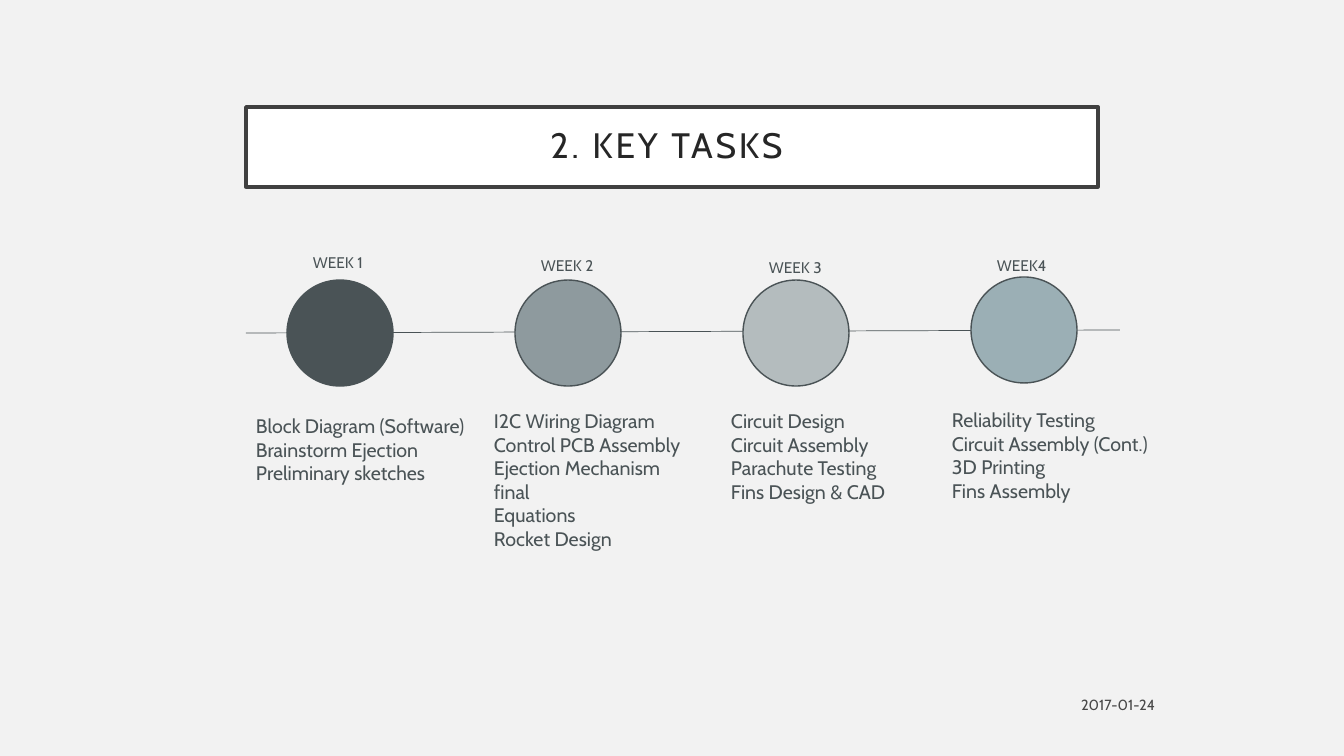
import pptx
import pptx.util
import pptx.dml.color
import pptx.enum.shapes
import pptx.enum.text
import pptx.oxml.ns
import lxml.etree

RGB = pptx.dml.color.RGBColor
SLATE = RGB(0x4A, 0x53, 0x56)
STEEL = RGB(0x8E, 0x9A, 0x9E)
SILVER = RGB(0xB4, 0xBC, 0xBE)
TEAL = RGB(0x9B, 0xAF, 0xB5)
PAPER = RGB(0xF2, 0xF2, 0xF2)
WHITE = RGB(0xFF, 0xFF, 0xFF)
FRAME = RGB(0x40, 0x40, 0x40)
INK = RGB(0x26, 0x26, 0x26)
BLACK = RGB(0, 0, 0)

TITLE = "2. KEY TASKS "
DATE = "2017-01-24"
WEEKS = [
    {"name": "WEEK 1", "fill": SLATE, "top": 280, "label": (248, 75), "list": (246, 409, 233),
     "tasks": ["Block Diagram (Software)", "Brainstorm Ejection", "Preliminary sketches"]},
    {"name": "WEEK 2", "fill": STEEL, "top": 280, "label": (251, 75), "list": (484, 404, 223),
     "tasks": ["I2C Wiring Diagram", "Control PCB Assembly", "Ejection Mechanism final",
               "Equations", "Rocket Design"]},
    {"name": "WEEK 3", "fill": SILVER, "top": 280, "label": (253, 75), "list": (721, 404, 184),
     "tasks": ["Circuit Design", "Circuit Assembly", "Parachute Testing", "Fins Design & CAD"]},
    {"name": "WEEK4", "fill": TEAL, "top": 277, "label": (251, 71), "list": (942, 403, 269),
     "tasks": ["Reliability Testing", "Circuit Assembly (Cont.)", "3D Printing", "Fins Assembly"]},
]
FIRST, STEP, SIZE = 287, 228, 106
LABEL_GAP = 16
LINE_HIGH = 24

ALIGN = pptx.enum.text.PP_ALIGN
MIDDLE = pptx.enum.text.MSO_ANCHOR.MIDDLE
KINDS = pptx.enum.shapes.MSO_SHAPE


def px(num):
    return pptx.util.Emu(round(num * 914400 / 100.8))


def write(shape, lines, size, color, align=ALIGN.LEFT, wrap=True):
    frame = shape.text_frame
    frame.text = "\n".join(lines)
    frame.word_wrap = wrap
    for para in frame.paragraphs:
        para.alignment = align
        for run in para.runs:
            run.font.name = "Cabin"
            run.font.size = pptx.util.Pt(size)
            run.font.color.rgb = color
    return frame


def add_box(slide, left, top, width, height):
    return slide.shapes.add_textbox(px(left), px(top), px(width), px(height))


def add_form(slide, kind, left, top, width, height, fill, line, weight):
    form = slide.shapes.add_shape(kind, px(left), px(top), px(width), px(height))
    form.shadow.inherit = False
    form.fill.solid()
    form.fill.fore_color.rgb = fill
    form.line.color.rgb = line
    form.line.width = pptx.util.Pt(weight)
    return form


def add_title(slide):
    form = add_form(slide, KINDS.RECTANGLE, 246, 107, 852, 80, WHITE, FRAME, 2.5)
    frame = write(form, [TITLE], 25.2, INK, ALIGN.CENTER)
    frame.vertical_anchor = MIDDLE
    frame.margin_left = frame.margin_right = px(20)
    frame.margin_top = frame.margin_bottom = px(20)
    para = frame.paragraphs[0]
    para.line_spacing = 0.9
    para.runs[0].font._element.set("spc", "200")


def add_date(slide):
    frame = write(add_box(slide, 862, 687, 303, 35), [DATE], 10.5, BLACK, ALIGN.RIGHT)
    frame.vertical_anchor = MIDDLE
    tint = frame.paragraphs[0].runs[0].font._element.find(".//" + pptx.oxml.ns.qn("a:srgbClr"))
    lxml.etree.SubElement(tint, pptx.oxml.ns.qn("a:alpha"), val="70000")


def add_axis(slide):
    axis = slide.shapes.add_connector(
        pptx.enum.shapes.MSO_CONNECTOR.STRAIGHT, px(246), px(333), px(1120), px(330))
    axis.line.color.rgb = SLATE
    axis.line.width = pptx.util.Pt(0.5)
    lxml.etree.SubElement(axis._element.spPr, pptx.oxml.ns.qn("a:effectLst"))


def add_week(slide, rank, week):
    left = FIRST + rank * STEP
    add_form(slide, KINDS.OVAL, left, week["top"], SIZE, SIZE, week["fill"], SLATE, 1)
    top, width = week["label"]
    label = add_box(slide, left + LABEL_GAP, top, width, 29)
    write(label, [week["name"]], 11, SLATE, wrap=False)
    side, top, width = week["list"]
    high = 10 + LINE_HIGH * len(week["tasks"])
    write(add_box(slide, side, top, width, high), week["tasks"], 14, SLATE)


def main():
    deck = pptx.Presentation()
    deck.slide_width, deck.slide_height = px(1344), px(756)
    slide = deck.slides.add_slide(deck.slide_layouts[6])
    slide.background.fill.solid()
    slide.background.fill.fore_color.rgb = PAPER
    add_title(slide)
    add_date(slide)
    add_axis(slide)
    for rank, week in enumerate(WEEKS):
        add_week(slide, rank, week)
    deck.save("out.pptx")


if __name__ == "__main__":
    main()
